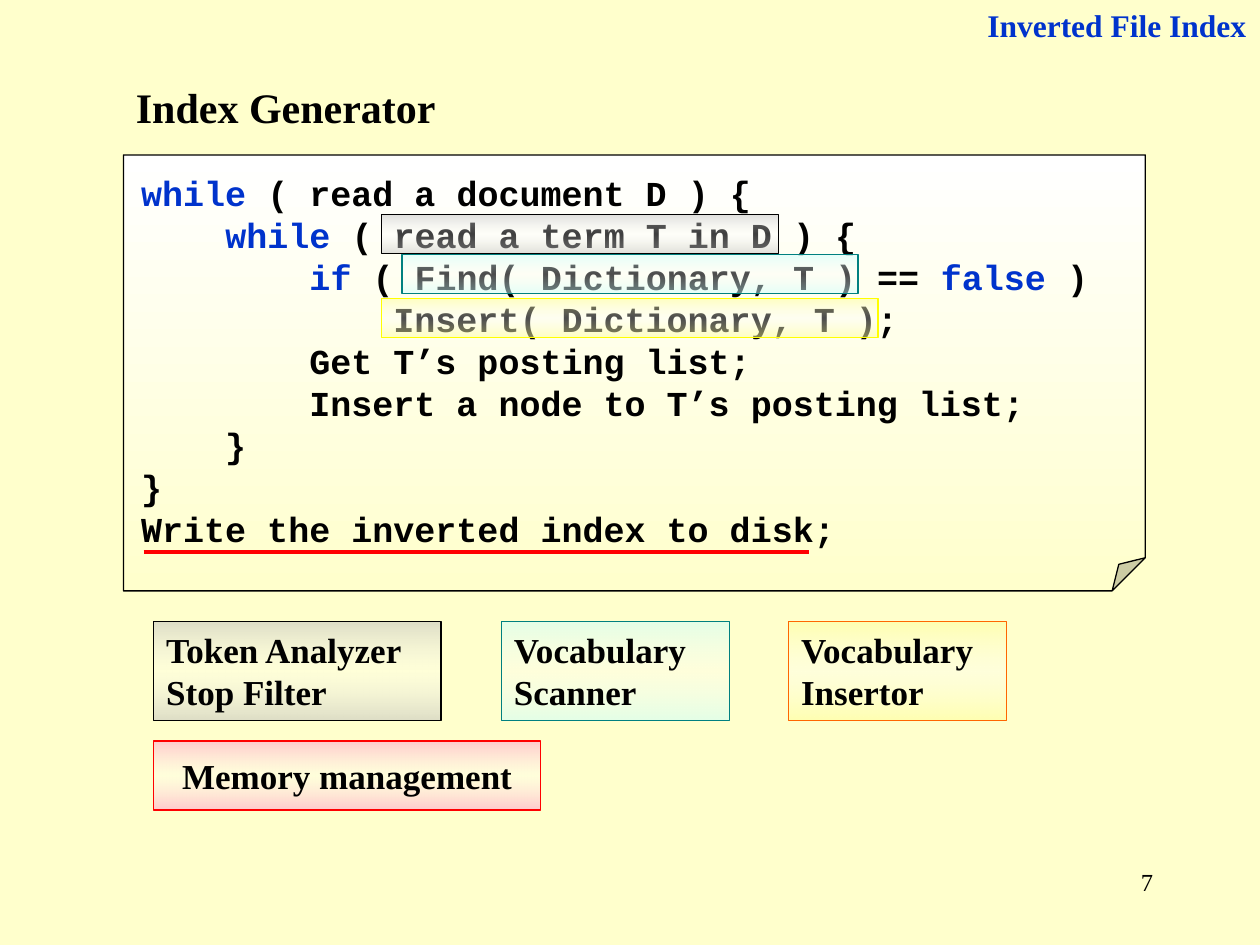
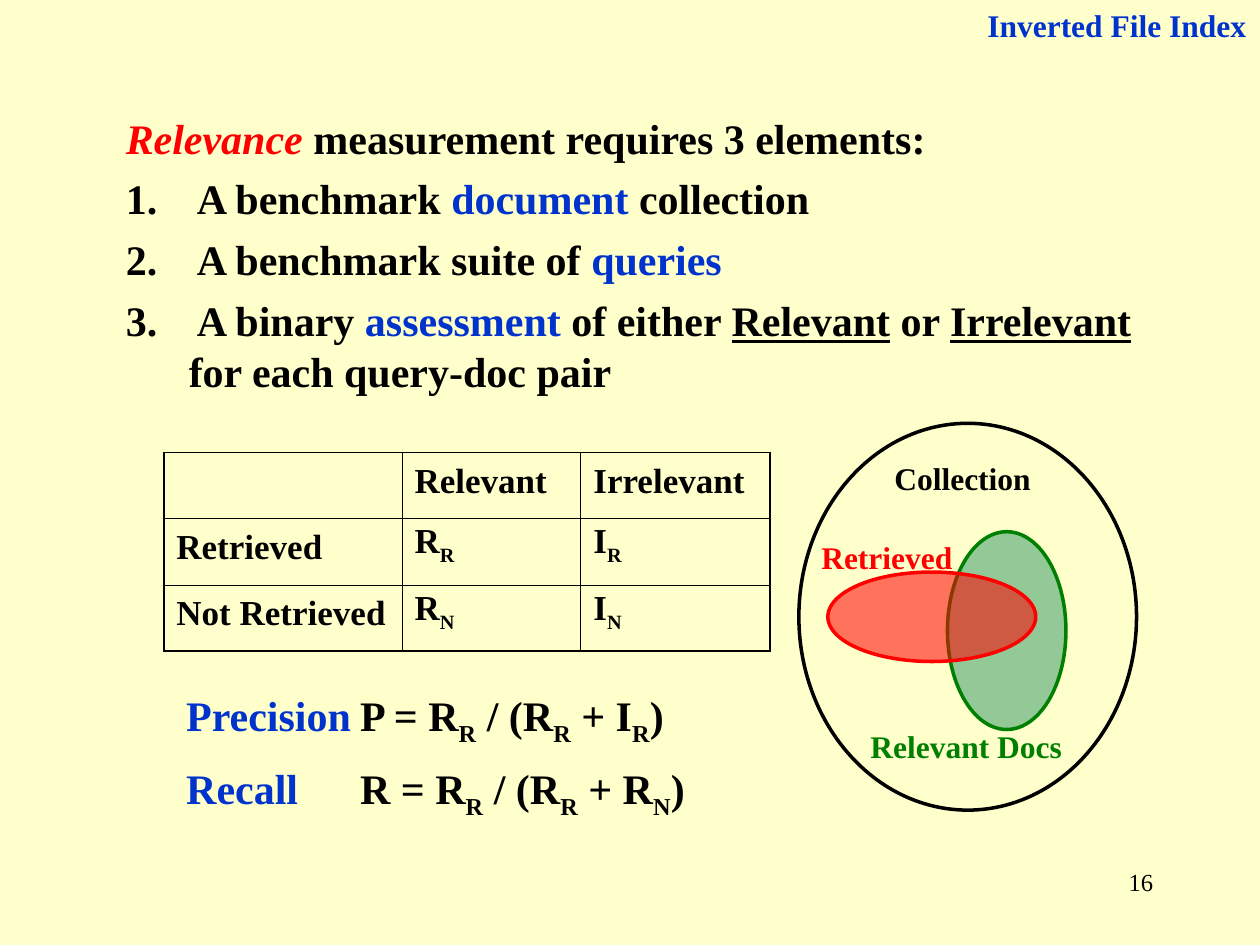
from lxml import etree
from pptx import Presentation
from pptx.dml.color import RGBColor
from pptx.enum.shapes import MSO_CONNECTOR as CONNECTOR, MSO_SHAPE as SHAPE
from pptx.enum.text import MSO_ANCHOR as ANCHOR, PP_ALIGN as ALIGN
from pptx.oxml.ns import qn
from pptx.util import Inches, Pt

COLORS = {
    "background": "FFFFCC", "black": "000000", "blue": "0033CC", "red": "FF0000",
    "white": "FFFFFF", "gray": "C0C0C0", "cyan": "CCFFFF", "teal": "008080",
    "pale yellow": "FFFF99", "yellow": "FFFF00", "orange": "FF6600",
    "pink": "FF99CC", "green": "008000", "sea green": "339966",
}
SERIF, MONO = "Times New Roman", "Courier New"
LINE_PITCH = 1.2

# Formats a run can add to those of its text box
STYLES = {
    "key": {"color": "blue"},
    "term": {"color": "red", "italic": True},
    "underline": {"underline": True},
    "sub": {"baseline": -25},
}

# Each tint: end colour and opacity, middle opacity
TINTS = {
    "token": ("gray", 53, 24),
    "scan": ("cyan", 53, 30),
    "insert": ("pale yellow", 53, 30),
    "memory": ("pink", 53, 29),
}


def rgb(name):
    return RGBColor.from_string(COLORS[name])


def add_element(parent, tag, **attributes):
    element = etree.SubElement(parent, qn(tag))
    for name, value in attributes.items():
        element.set(name, str(value))
    return element


# ---- Text ----
def format_run(run, formats):
    for name, value in formats.items():
        if name == "color":
            run.font.color.rgb = rgb(value)
        elif name == "baseline":
            run._r.get_or_add_rPr().set("baseline", str(value * 1000))
        elif name == "size":
            run.font.size = Pt(value)
        else:
            setattr(run.font, name, value)


def write(frame, paragraphs, size=20, align=ALIGN.LEFT, space_after=0, **formats):
    """Fill a frame; a paragraph is a list of strings and (text, style) pairs."""
    base = {"name": SERIF, "size": size, "bold": True, "color": "black", **formats}
    for index, parts in enumerate(paragraphs):
        paragraph = frame.paragraphs[0] if index == 0 else frame.add_paragraph()
        paragraph.alignment = align
        paragraph.line_spacing = Pt(size * LINE_PITCH)
        paragraph.space_after = Pt(space_after)
        for part in parts:
            text, style = (part, None) if isinstance(part, str) else part
            run = paragraph.add_run()
            run.text = text
            format_run(run, {**base, **STYLES.get(style, {})})


def add_text(slide, box, paragraphs, **formats):
    frame = slide.shapes.add_textbox(*map(Inches, box)).text_frame
    frame.word_wrap = True
    write(frame, paragraphs, **formats)
    return frame


# ---- Shapes ----
def set_gradient(shape, stops):
    """Fill from top to bottom with stops of (position, colour, opacity)."""
    shape.fill.gradient()
    shape.fill.gradient_angle = 270
    stop_list = shape._element.spPr.find(qn("a:gradFill")).find(qn("a:gsLst"))
    for old_stop in list(stop_list):
        stop_list.remove(old_stop)
    for position, color, opacity in stops:
        stop = add_element(stop_list, "a:gs", pos=position * 1000)
        value = add_element(stop, "a:srgbClr", val=COLORS[color])
        add_element(value, "a:alpha", val=opacity * 1000)


def add_outlined(slide, kind, box, line, width=0.75):
    shape = slide.shapes.add_shape(kind, *map(Inches, box))
    shape.shadow.inherit = False
    shape.fill.background()
    shape.line.color.rgb = rgb(line)
    shape.line.width = Pt(width)
    return shape


def add_tinted_box(slide, box, tint, line, paragraphs=(), align=ALIGN.LEFT):
    shape = add_outlined(slide, SHAPE.RECTANGLE, box, line)
    color, edge, middle = TINTS[tint]
    set_gradient(shape, [(0, color, edge), (50, "white", middle), (100, color, edge)])
    shape.text_frame.word_wrap = True
    shape.text_frame.vertical_anchor = ANCHOR.MIDDLE
    write(shape.text_frame, paragraphs, align=align)


def add_ellipse(slide, box, line, fill=None, opacity=100):
    shape = add_outlined(slide, SHAPE.OVAL, box, line, width=2)
    if fill:
        shape.fill.solid()
        shape.fill.fore_color.rgb = rgb(fill)
        value = shape._element.spPr.find(qn("a:solidFill")).find(qn("a:srgbClr"))
        add_element(value, "a:alpha", val=opacity * 1000)


# ---- Shared slide frame ----
def add_base_slide(presentation, number):
    slide = presentation.slides.add_slide(presentation.slide_layouts[6])
    slide.background.fill.solid()
    slide.background.fill.fore_color.rgb = rgb("background")
    add_text(slide, (7.17, 6.83, 2.08, 0.5), [[str(number)]],
             size=14, bold=False, align=ALIGN.RIGHT)
    add_text(slide, (7.52, 0, 2.47, 0.4), [["Inverted File Index"]],
             size=18, color="blue", align=ALIGN.RIGHT)
    return slide


# ---- Index generator ----
def add_code_note(slide, box):
    left, top, _, _ = box
    note = add_outlined(slide, SHAPE.FOLDED_CORNER, box, "black")
    geometry = note._element.spPr.find(qn("a:prstGeom"))
    add_element(geometry.find(qn("a:avLst")), "a:gd", name="adj", fmla="val 7600")
    set_gradient(note, [(0, "white", 100), (100, "background", 100)])
    frame = note.text_frame
    frame.word_wrap = True
    frame.vertical_anchor = ANCHOR.TOP
    margins = {"left": 0.14, "top": 0.13, "right": 0.14, "bottom": 0.09}
    for side, margin in margins.items():
        setattr(frame, f"margin_{side}", Inches(margin))
    write(frame, [
        [("while", "key"), " ( read a document D ) {"],
        ["    ", ("while", "key"), " ( read a term T in D ) {"],
        ["        ", ("if", "key"), " ( Find( Dictionary, T ) == ", ("false", "key"), " )"],
        ["            Insert( Dictionary, T );"],
        ["        Get T’s posting list;"],
        ["        Insert a node to T’s posting list;"],
        ["    }"],
        ["}"],
        ["Write the inverted index to disk;"],
    ], name=MONO)

    # Highlights over the calls
    for x, y, width, tint, line in [
        (2.05, 0.47, 3.15, "token", "black"),
        (2.21, 0.79, 3.62, "scan", "teal"),
        (2.05, 1.14, 3.94, "insert", "yellow"),
    ]:
        add_tinted_box(slide, (left + x, top + y, width, 0.31), tint, line)

    # Underline of the last statement
    ends = (left + 0.16, top + 3.15, left + 5.44, top + 3.15)
    underline = slide.shapes.add_connector(CONNECTOR.STRAIGHT, *map(Inches, ends))
    underline.line.color.rgb = rgb("red")
    underline.line.width = Pt(2)
    add_element(underline._element.spPr, "a:effectLst")


def add_modules(slide, left, top):
    for x, width, tint, line, paragraphs in [
        (0, 2.28, "token", "black", [["Token Analyzer"], ["Stop Filter"]]),
        (2.76, 1.81, "scan", "teal", [["Vocabulary Scanner"]]),
        (5.04, 1.73, "insert", "orange", [["Vocabulary Insertor"]]),
    ]:
        add_tinted_box(slide, (left + x, top, width, 0.79), tint, line, paragraphs)
    add_tinted_box(slide, (left, top + 0.95, 3.07, 0.55), "memory", "red",
                   [["Memory management"]], ALIGN.CENTER)


def build_index_generator(presentation):
    slide = add_base_slide(presentation, 7)
    add_text(slide, (0.98, 0.6, 3.31, 0.5), [["Index Generator"]], size=24)
    add_code_note(slide, (0.98, 1.23, 8.11, 3.46))
    add_modules(slide, 1.22, 4.93)


# ---- Relevance measurement ----
def add_requirements(slide, box):
    frame = add_text(slide, box, [
        [("Relevance", "term"), " measurement requires 3 elements:"],
        [" A benchmark ", ("document", "key"), " collection"],
        [" A benchmark suite of ", ("queries", "key")],
        [" A binary ", ("assessment", "key"), " of either ", ("Relevant", "underline"),
         " or ", ("Irrelevant", "underline"), " for each query-doc pair"],
    ], size=24, space_after=6)
    for index, paragraph in enumerate(frame.paragraphs):
        properties = paragraph._p.get_or_add_pPr()
        properties.set("marL", str(Inches(0.5)))
        properties.set("indent", str(Inches(-0.5)))
        if index:
            add_element(properties, "a:buFont", typeface=SERIF)
            add_element(properties, "a:buAutoNum", type="arabicPeriod")


def set_borders(cell, outer_sides):
    properties = cell._tc.get_or_add_tcPr()
    for index, side in enumerate("LRTB"):
        width = 1.08 if side in outer_sides else 0.45
        border = add_element(properties, f"a:ln{side}", w=int(Pt(width)))
        fill = add_element(border, "a:solidFill")
        add_element(fill, "a:srgbClr", val=COLORS["black"])
        properties.insert(index, border)


def add_relevance_table(slide, box):
    rows = [
        [[], ["Relevant"], ["Irrelevant"]],
        [["Retrieved"], ["R", ("R", "sub")], ["I", ("R", "sub")]],
        [["Not Retrieved"], ["R", ("N", "sub")], ["I", ("N", "sub")]],
    ]
    table = slide.shapes.add_table(3, 3, *map(Inches, box)).table
    table.first_row = table.horz_banding = False
    for column, width in zip(table.columns, (1.89, 1.42, 1.5)):
        column.width = Inches(width)
    for y, row in enumerate(rows):
        for x, parts in enumerate(row):
            cell = table.cell(y, x)
            cell.fill.background()
            set_borders(cell, {0: "L", 2: "R"}.get(x, "") + {0: "T", 2: "B"}.get(y, ""))
            write(cell.text_frame, [parts])


def add_formulas(slide, box):
    frame = add_text(slide, box, [
        [(name, "key"), f"\t{symbol} = R", ("R", "sub"), " / (R", ("R", "sub"),
         f" + {other}", (index, "sub"), ")"]
        for name, symbol, other, index in [("Precision", "P", "I", "R"),
                                           ("Recall", "R", "R", "N")]
    ], size=24, space_after=13)
    for paragraph in frame.paragraphs:
        tabs = add_element(paragraph._p.get_or_add_pPr(), "a:tabLst")
        add_element(tabs, "a:tab", pos=Inches(1.38), algn="l")


def add_venn_diagram(slide, box):
    left, top, _, _ = box
    add_ellipse(slide, box, "black")
    add_text(slide, (left + 0.55, top + 0.23, 1.5, 0.4), [["Collection"]],
             size=18, align=ALIGN.CENTER)
    add_ellipse(slide, (left + 1.18, top + 0.86, 0.94, 1.57), "green", "sea green", 53)
    add_text(slide, (left + 0.47, top + 2.36, 1.81, 0.4), [["Relevant Docs"]],
             size=18, color="green")
    add_ellipse(slide, (left + 0.23, top + 1.18, 1.65, 0.71), "red", "red", 55)
    add_text(slide, (left + 0.08, top + 0.86, 1.42, 0.4), [["Retrieved"]],
             size=18, color="red")


def build_relevance(presentation):
    slide = add_base_slide(presentation, 16)
    add_requirements(slide, (0.9, 0.84, 8.27, 2.35))
    add_relevance_table(slide, (1.3, 3.59, 4.81, 1.58))
    add_formulas(slide, (1.38, 5.48, 5, 1.14))
    add_venn_diagram(slide, (6.34, 3.36, 2.68, 3.07))


def main():
    presentation = Presentation()
    presentation.slide_width = Inches(10)
    presentation.slide_height = Inches(7.5)
    build_index_generator(presentation)
    build_relevance(presentation)
    presentation.save("out.pptx")


if __name__ == "__main__":
    main()
